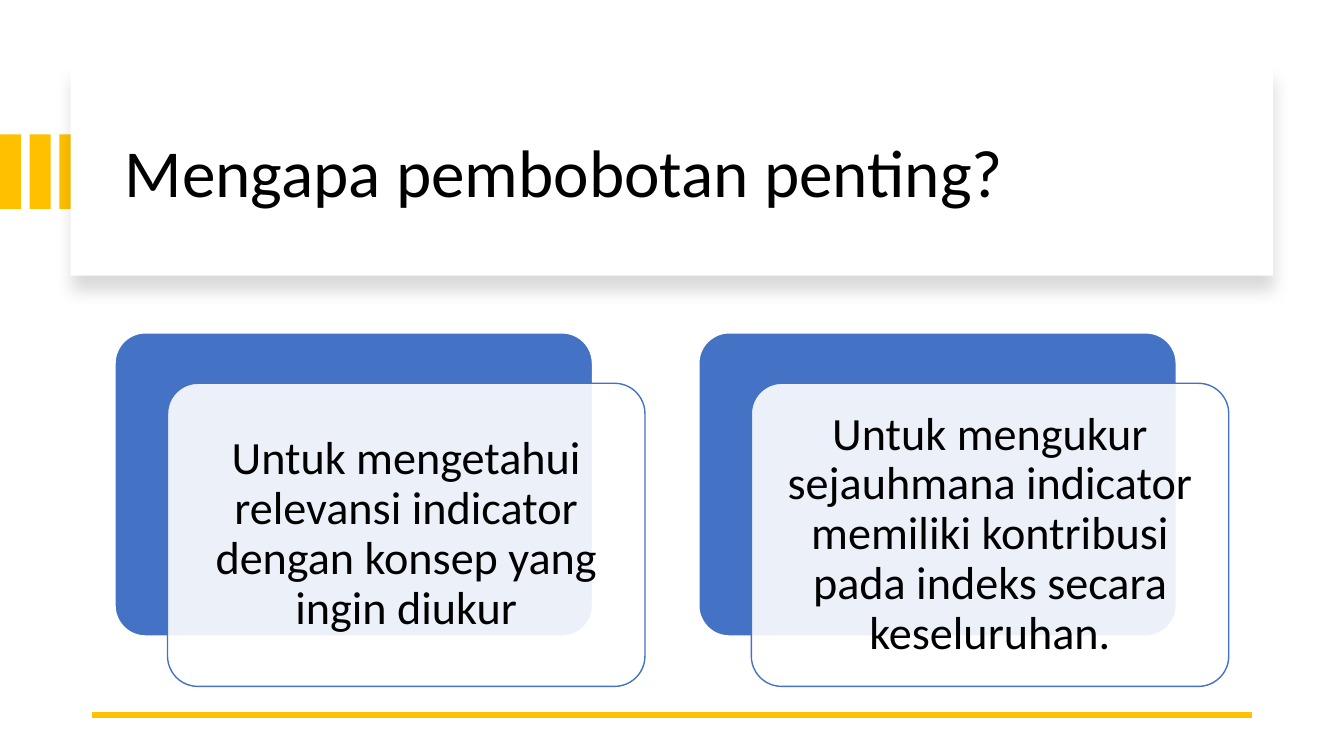
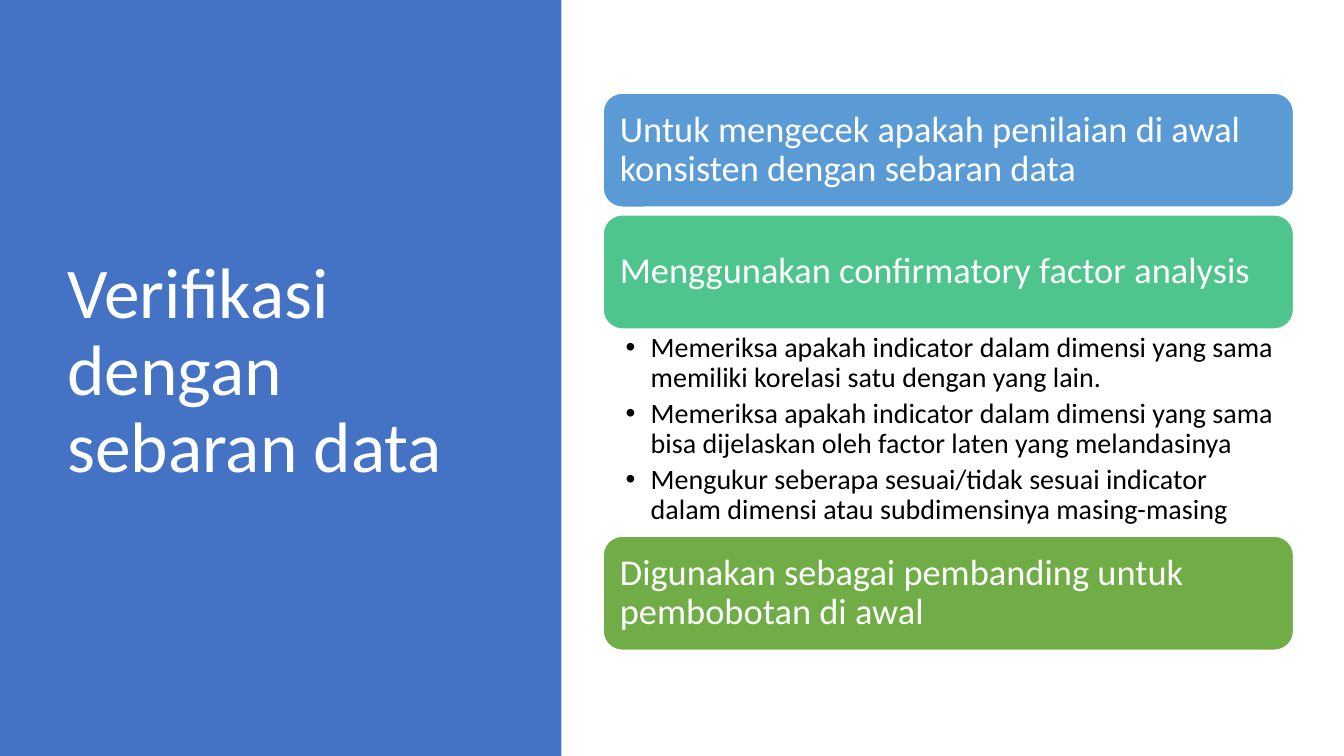
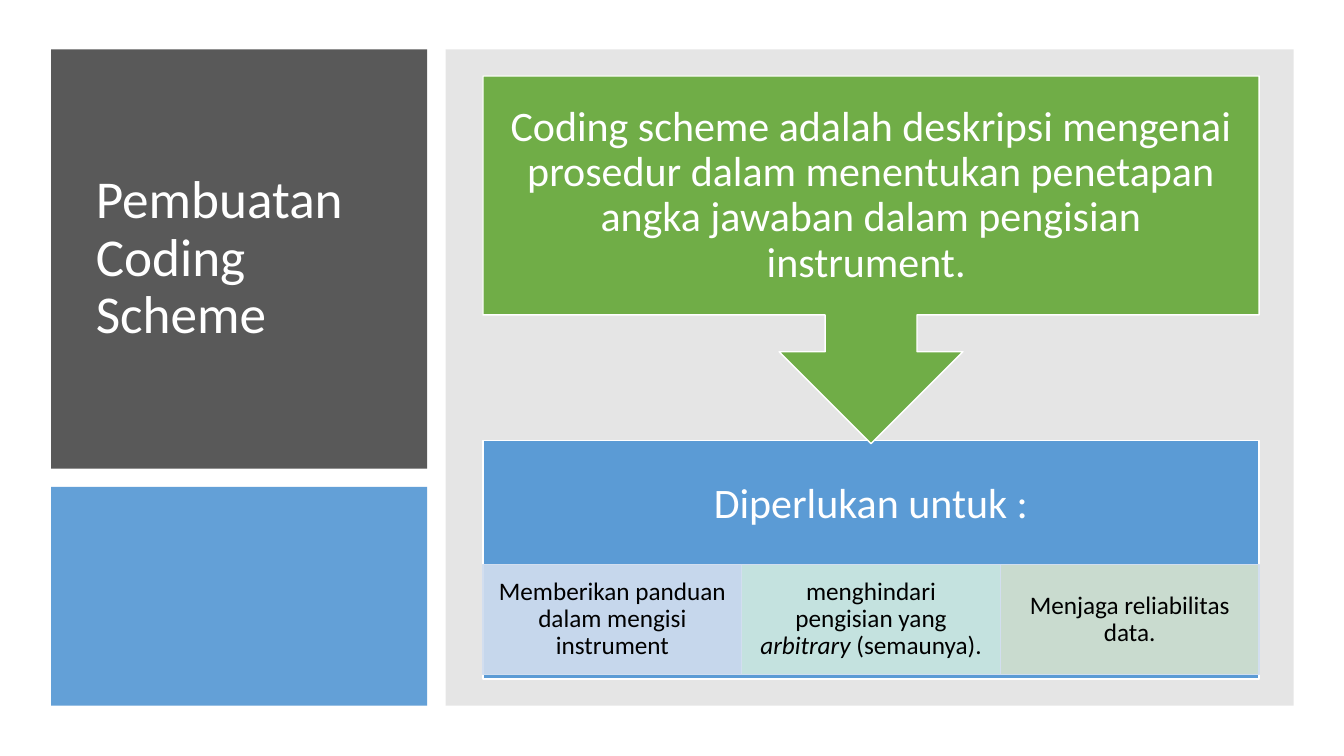
import pptx
import pptx.util
import pptx.dml.color
import pptx.enum.shapes
import pptx.enum.text
import pptx.oxml
import pptx.oxml.ns
import lxml.etree

Pt = pptx.util.Pt
SHAPE = pptx.enum.shapes.MSO_SHAPE
ALIGN = pptx.enum.text.PP_ALIGN
ANCHOR = pptx.enum.text.MSO_ANCHOR
qn = pptx.oxml.ns.qn

FONT = "Calibri"
LINE_SPACING = 0.9
TITLE_ONLY, TITLE_AND_CONTENT = 5, 1
COLORS = {
    "white": "FFFFFF", "black": "000000", "gold": "FFC000",
    "blue": "4472C4", "sky": "5B9BD5", "teal": "4DC58D", "green": "70AD47",
    "charcoal": "595959", "gray": "808080",
    "pale blue": "D2DEEF", "pale teal": "D0EAE1", "pale green": "D5E3CF",
}

REASONS_TITLE = "Mengapa pembobotan penting?"
REASONS = [
    "Untuk mengetahui relevansi indicator dengan konsep yang ingin diukur",
    "Untuk mengukur sejauhmana indicator memiliki kontribusi pada indeks secara keseluruhan.",
]

CHECKS_TITLE = "Verifikasi dengan sebaran data"
CHECKS = [
    ("Untuk mengecek apakah penilaian di awal konsisten dengan sebaran data", "sky", []),
    ("Menggunakan confirmatory factor analysis", "teal", [
        "Memeriksa apakah indicator dalam dimensi yang sama memiliki korelasi satu dengan yang lain.",
        "Memeriksa apakah indicator dalam dimensi yang sama bisa dijelaskan oleh factor laten yang melandasinya",
        "Mengukur seberapa sesuai/tidak sesuai indicator dalam dimensi atau subdimensinya masing-masing",
    ]),
    ("Digunakan sebagai pembanding untuk pembobotan di awal", "green", []),
]

CODING_TITLE = "Pembuatan Coding Scheme"
DEFINITION = ("Coding scheme adalah deskripsi mengenai prosedur dalam menentukan "
              "penetapan angka jawaban dalam pengisian instrument. ")
NEEDS_HEADING = "Diperlukan untuk :"
# Each need is a list of (text, italic) runs.
NEEDS = [
    ([("Memberikan panduan dalam mengisi instrument", False)], "pale blue"),
    ([("menghindari pengisian yang ", False), ("arbitrary", True), (" (semaunya).", False)],
     "pale teal"),
    ([("Menjaga reliabilitas data.", False)], "pale green"),
]


def rgb(color):
    return pptx.dml.color.RGBColor.from_string(COLORS[color])


def write_paragraph(paragraph, runs, size, color, align=ALIGN.LEFT):
    """Fill a paragraph from a string or a list of (text, italic) runs."""
    paragraph.alignment = align
    paragraph.line_spacing = LINE_SPACING
    paragraph.space_before = Pt(0)
    for text, italic in [(runs, False)] if isinstance(runs, str) else runs:
        run = paragraph.add_run()
        run.text = text
        run.font.name = FONT
        run.font.size = Pt(size)
        run.font.color.rgb = rgb(color)
        if italic:
            run.font.italic = True


def set_frame(shape, insets, anchor=ANCHOR.MIDDLE):
    frame = shape.text_frame
    frame.word_wrap = True
    frame.auto_size = pptx.enum.text.MSO_AUTO_SIZE.NONE
    frame.vertical_anchor = anchor
    (frame.margin_left, frame.margin_top,
     frame.margin_right, frame.margin_bottom) = [Pt(inset) for inset in insets]
    return frame


def place(shape, box):
    shape.left, shape.top, shape.width, shape.height = [Pt(length) for length in box]


def add_box(slide, box, fill, line=None, kind=SHAPE.RECTANGLE, opacity=100):
    shape = slide.shapes.add_shape(kind, *[Pt(length) for length in box])
    shape.shadow.inherit = False
    shape.fill.solid()
    shape.fill.fore_color.rgb = rgb(fill)
    if opacity < 100:
        solid = shape.element.spPr.find(qn("a:solidFill"))
        lxml.etree.SubElement(solid[0], qn("a:alpha"), val=str(opacity * 1000))
    if line:
        shape.line.color.rgb = rgb(line)
        shape.line.width = Pt(1)
    else:
        shape.line.fill.background()
    return shape


def write_box(shape, runs, size, color, insets, align=ALIGN.CENTER):
    frame = set_frame(shape, insets)
    write_paragraph(frame.paragraphs[0], runs, size, color, align)


def add_title(slide, text, box, size, color):
    """Move the title placeholder in front of the shapes drawn so far and fill it."""
    title = slide.shapes.title
    title.element.getparent().append(title.element)
    place(title, box)
    write_box(title, text, size, color, (7.2, 3.6, 7.2, 3.6), ALIGN.LEFT)


def add_drop_shadow(shape):
    effects = shape.element.spPr.find(qn("a:effectLst"))
    effects.append(pptx.oxml.parse_xml(
        '<a:outerShdw xmlns:a="http://schemas.openxmlformats.org/drawingml/2006/main" '
        f'blurRad="{Pt(11)}" dist="{Pt(10)}" dir="5400000" algn="t" rotWithShape="0">'
        '<a:srgbClr val="000000"><a:alpha val="15000"/></a:srgbClr></a:outerShdw>'))


def add_rule(slide, left, right, y):
    rule = slide.shapes.add_connector(
        pptx.enum.shapes.MSO_CONNECTOR.STRAIGHT, Pt(left), Pt(y), Pt(right), Pt(y))
    rule.line.color.rgb = rgb("gold")
    rule.line.width = Pt(4.5)
    lxml.etree.SubElement(rule.element.spPr, qn("a:effectLst"))


def add_bullets(slide, items, box):
    body = slide.placeholders[1]
    place(body, box)
    frame = set_frame(body, (16, 3, 14.2, 3), ANCHOR.TOP)
    for index, item in enumerate(items):
        paragraph = frame.add_paragraph() if index else frame.paragraphs[0]
        write_paragraph(paragraph, item, 20, "black")
        paragraph.space_after = Pt(4)
        properties = paragraph._p.get_or_add_pPr()
        properties.set("marL", str(Pt(18)))
        properties.set("indent", str(-Pt(18)))


def build_reasons(slide):
    for index in range(3):
        add_box(slide, (21.2 * index, 96, 15, 53.3), "gold")
    add_drop_shadow(add_box(slide, (50.5, 48, 859, 149), "white"))
    add_title(slide, REASONS_TITLE, (82, 64, 801.5, 122.5), 48, "black")
    add_rule(slide, 66, 894, 510.5)

    left, top, width, height, pitch = 82.2, 237.8, 341, 216.5, 417
    for index, reason in enumerate(REASONS):
        x = left + pitch * index
        back = add_box(slide, (x, top, width, height), "blue", "white",
                       SHAPE.ROUNDED_RECTANGLE)
        front = add_box(slide, (x + 37.5, top + 36, width, height), "white", "blue",
                        SHAPE.ROUNDED_RECTANGLE, opacity=90)
        back.adjustments[0] = front.adjustments[0] = 0.1
        write_box(front, reason, 33, "black", (10,) * 4)


def build_checks(slide):
    add_box(slide, (0, 0, 401, 540), "blue")
    add_title(slide, CHECKS_TITLE, (41, 49, 299.5, 433.5), 51, "white")

    left, top, width, height, gap, list_height = 430.8, 66.5, 493.2, 81.5, 5.5, 148
    for text, color, items in CHECKS:
        bar = add_box(slide, (left, top, width, height), color, "white",
                      SHAPE.ROUNDED_RECTANGLE)
        write_box(bar, text, 26, "white", (8,) * 4, ALIGN.LEFT)
        top += height
        if items:
            add_bullets(slide, items, (left, top, width, list_height))
        top += list_height if items else gap


def build_coding(slide):
    add_box(slide, (36.5, 35.3, 268.7, 299.5), "charcoal")
    add_title(slide, CODING_TITLE, (61.2, 57.6, 224, 255), 38, "white")
    add_box(slide, (36.5, 347.8, 268.7, 156.2), "sky", opacity=95)
    add_box(slide, (318.3, 35.3, 605.7, 468.7), "gray", opacity=20)

    left, width, inset = 345, 554.4, 16.5
    top, height, heading_height = 314.6, 170.6, 92
    panel = add_box(slide, (left, top, width, height), "sky", "white")
    write_box(panel, NEEDS_HEADING, 30, "white",
              (inset, inset, inset, height - heading_height + inset))
    cell_width = width / len(NEEDS)
    for index, (runs, color) in enumerate(NEEDS):
        cell = add_box(slide, (left + cell_width * index, 403.2, cell_width, 78.5),
                       color, "pale blue", opacity=90)
        write_box(cell, runs, 18, "black", (10, 2, 10, 2))
    callout = add_box(slide, (left, 54.3, width, 262.6), "green", "white",
                      SHAPE.DOWN_ARROW_CALLOUT)
    write_box(callout, DEFINITION, 30, "white", (inset,) * 4)


def main():
    presentation = pptx.Presentation()
    presentation.slide_width, presentation.slide_height = Pt(960), Pt(540)
    for build, layout in [(build_reasons, TITLE_ONLY),
                          (build_checks, TITLE_AND_CONTENT),
                          (build_coding, TITLE_ONLY)]:
        build(presentation.slides.add_slide(presentation.slide_layouts[layout]))
    presentation.save("out.pptx")


if __name__ == "__main__":
    main()
